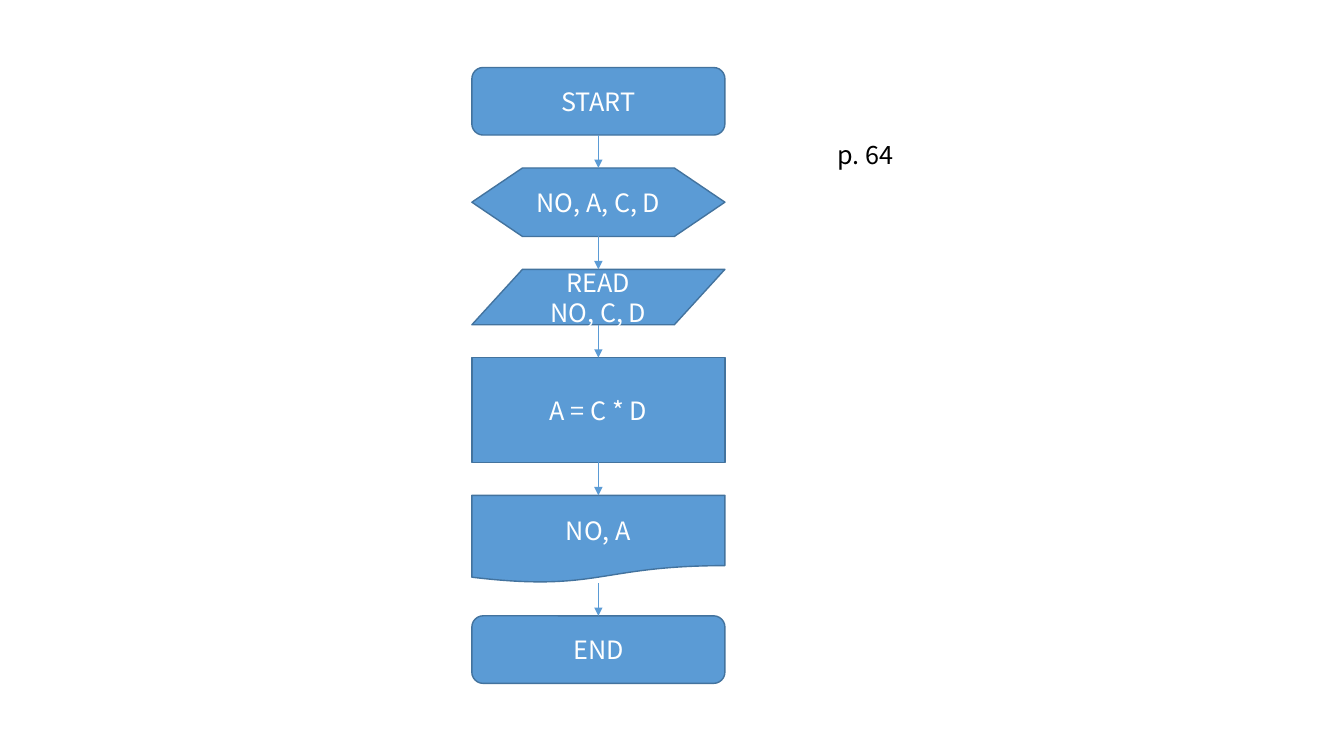
from lxml import etree
from pptx import Presentation, util as u
from pptx.dml.color import RGBColor
from pptx.enum import shapes, text
from pptx.oxml.ns import qn

WIDTH, HEIGHT = 13.33, 7.5
FONT = "Noto Sans CJK KR"
BLUE, OUTLINE, WHITE, BLACK = "5B9BD5", "43739E", "FFFFFF", "000000"
TOP, BOTTOM = 0, 2  # connection sites
KIND = shapes.MSO_SHAPE

# Kind, height, wording, sites in the middle of a side
STEPS = [
    (KIND.FLOWCHART_ALTERNATE_PROCESS, 0.67, ["START"], (TOP, BOTTOM)),
    (KIND.FLOWCHART_PREPARATION, 0.68, ["NO, A, C, D"], (TOP, BOTTOM)),
    (KIND.FLOWCHART_DATA, 0.55, ["READ", "NO, C, D"], ()),
    (KIND.RECTANGLE, 1.04, ["A = C * D"], (TOP, BOTTOM)),
    (KIND.FLOWCHART_DOCUMENT, 0.87, ["NO, A"], (TOP,)),
    (KIND.FLOWCHART_ALTERNATE_PROCESS, 0.67, ["END"], (TOP, BOTTOM)),
]


def color(target, value):
    target.rgb = RGBColor.from_string(value)


def write(shape, lines, size=18, ink=WHITE, align=text.PP_ALIGN.CENTER,
          anchor=text.MSO_ANCHOR.MIDDLE):
    frame = shape.text_frame
    frame.word_wrap = True
    frame.vertical_anchor = anchor
    frame.text = "\n".join(lines)
    for paragraph in frame.paragraphs:
        paragraph.alignment = align
        font = paragraph.runs[0].font
        font.name, font.size = FONT, u.Pt(size)
        color(font.color, ink)


def add_step(slide, kind, box, lines):
    shape = slide.shapes.add_shape(kind, *map(u.Inches, box))
    shape.shadow.inherit = False
    shape.fill.solid()
    color(shape.fill.fore_color, BLUE)
    color(shape.line.color, OUTLINE)
    shape.line.width = u.Pt(1)
    write(shape, lines)
    return shape


def add_arrow(slide, upper, lower, upper_sites, lower_sites):
    middle = upper.left + upper.width // 2
    arrow = slide.shapes.add_connector(
        shapes.MSO_CONNECTOR.STRAIGHT,
        middle, upper.top + upper.height, middle, lower.top)
    if BOTTOM in upper_sites:
        arrow.begin_connect(upper, BOTTOM)
    if TOP in lower_sites:
        arrow.end_connect(lower, TOP)
    color(arrow.line.color, BLUE)
    arrow.line.width = u.Pt(0.5)
    etree.SubElement(arrow.line._get_or_add_ln(), qn("a:tailEnd"), type="triangle")
    etree.SubElement(arrow._element.spPr, qn("a:effectLst"))


def add_flowchart(slide, left, top, width, height):
    """Stack the steps in the box, with equal gaps between them."""
    gap = (height - sum(step[1] for step in STEPS)) / (len(STEPS) - 1)
    placed = []
    for kind, step_height, lines, sites in STEPS:
        shape = add_step(slide, kind, (left, top, width, step_height), lines)
        placed.append((shape, sites))
        top += step_height + gap
    for (upper, upper_sites), (lower, lower_sites) in zip(placed, placed[1:]):
        add_arrow(slide, upper, lower, upper_sites, lower_sites)


def add_page_reference(slide, left, top, width, height):
    box = slide.shapes.add_textbox(*map(u.Inches, (left, top, width, height)))
    write(box, ["p. 64"], ink=BLACK, align=text.PP_ALIGN.LEFT,
          anchor=text.MSO_ANCHOR.TOP)


def main():
    presentation = Presentation()
    presentation.slide_width = u.Inches(WIDTH)
    presentation.slide_height = u.Inches(HEIGHT)
    slide = presentation.slides.add_slide(presentation.slide_layouts[6])
    add_flowchart(slide, 4.68, 0.67, 2.51, 6.11)
    add_page_reference(slide, 8.21, 1.33, 2.1, 0.71)
    presentation.save("out.pptx")


if __name__ == "__main__":
    main()
